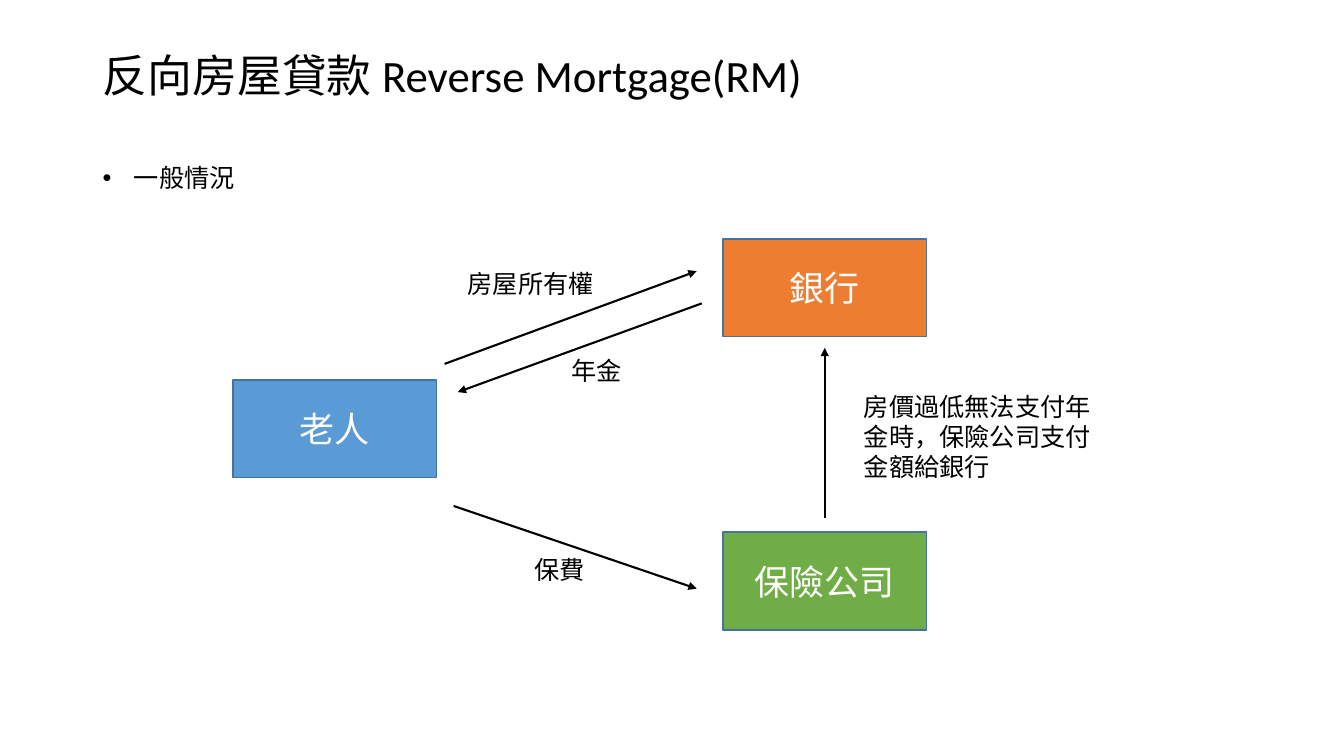
import pptx
import pptx.util
import pptx.dml.color
import pptx.enum.shapes
import pptx.enum.text
import pptx.oxml.ns
import lxml.etree

Inches = pptx.util.Inches
Pt = pptx.util.Pt
ANCHOR = pptx.enum.text.MSO_ANCHOR
ALIGN = pptx.enum.text.PP_ALIGN
FONT = "Calibri"
BLACK, WHITE, OUTLINE = "000000", "FFFFFF", "43739E"
PARTY_SIZE = (2.02, 0.97)

# Name, left, top, fill
PARTIES = [
    ("老人", 2.31, 3.77, "5B9BD5"),
    ("銀行", 7.17, 2.37, "ED7D31"),
    ("保險公司", 7.17, 5.28, "70AD47"),
]
# Start and end of each payment or transfer
FLOWS = [
    ((4.41, 3.61), (6.91, 2.69)),
    ((6.96, 3.01), (4.54, 3.89)),
    ((4.5, 5.02), (6.91, 5.84)),
    ((8.18, 5.14), (8.18, 3.45)),
]
# Text, left, top, width, height
LABELS = [
    ("房屋所有權", 4.54, 2.61, 1.55, 0.4),
    ("年金", 5.57, 3.48, 1.55, 0.4),
    ("保費", 5.2, 5.45, 1.3, 0.4),
    ("房價過低無法支付年金時，保險公司支付金額給銀行", 8.47, 3.83, 2.65, 1.01),
]


def color(value):
    return pptx.dml.color.RGBColor.from_string(value)


def add_child(parent, tag, **attributes):
    return lxml.etree.SubElement(parent, pptx.oxml.ns.qn(tag), **attributes)


def set_font(para, size, value):
    para.font.name = FONT
    para.font.size = Pt(size)
    para.font.color.rgb = color(value)


def set_title(page, text):
    title = page.shapes.title
    title.left, title.top = Inches(0.92), Inches(0.29)
    title.width, title.height = Inches(11.5), Inches(0.96)
    frame = title.text_frame
    frame.text = text
    frame.auto_size = pptx.enum.text.MSO_AUTO_SIZE.NONE
    frame.vertical_anchor = ANCHOR.MIDDLE
    para = frame.paragraphs[0]
    para.alignment = ALIGN.LEFT
    para.line_spacing = 0.9
    set_font(para, 32, BLACK)


def add_party(page, name, left, top, fill):
    box = page.shapes.add_shape(
        pptx.enum.shapes.MSO_SHAPE.RECTANGLE,
        Inches(left), Inches(top), *map(Inches, PARTY_SIZE))
    box.shadow.inherit = False
    box.fill.solid()
    box.fill.fore_color.rgb = color(fill)
    box.line.color.rgb = color(OUTLINE)
    box.line.width = Pt(1)
    box.text_frame.text = name
    box.text_frame.vertical_anchor = ANCHOR.MIDDLE
    para = box.text_frame.paragraphs[0]
    para.alignment = ALIGN.CENTER
    set_font(para, 25, WHITE)


def add_arrow(page, start, end):
    arrow = page.shapes.add_connector(
        pptx.enum.shapes.MSO_CONNECTOR.STRAIGHT, *map(Inches, start + end))
    arrow.line.color.rgb = color(BLACK)
    arrow.line.width = Pt(1.5)
    add_child(arrow.line._get_or_add_ln(), "a:tailEnd", type="triangle")
    add_child(arrow._element.spPr, "a:effectLst")


def add_label(page, text, left, top, width, height, bullet=False):
    box = page.shapes.add_textbox(*map(Inches, (left, top, width, height)))
    frame = box.text_frame
    frame.word_wrap = True
    frame.text = text
    para = frame.paragraphs[0]
    if bullet:
        indent = Inches(0.31)
        properties = para._p.get_or_add_pPr()
        properties.set("marL", str(indent))
        properties.set("indent", str(-indent))
        add_child(properties, "a:buFont", typeface="Arial")
        add_child(properties, "a:buChar", char="•")
    set_font(para, 18, BLACK)


def main():
    deck = pptx.Presentation()
    deck.slide_width, deck.slide_height = Inches(13.33), Inches(7.5)
    page = deck.slides.add_slide(deck.slide_layouts.get_by_name("Title Only"))

    # Heading
    set_title(page, "反向房屋貸款 Reverse Mortgage(RM)")
    add_label(page, "一般情況", 0.92, 1.56, 4.97, 0.4, bullet=True)

    # Diagram
    for party in PARTIES:
        add_party(page, *party)
    for start, end in FLOWS:
        add_arrow(page, start, end)
    for label in LABELS:
        add_label(page, *label)

    deck.save("out.pptx")


if __name__ == "__main__":
    main()
